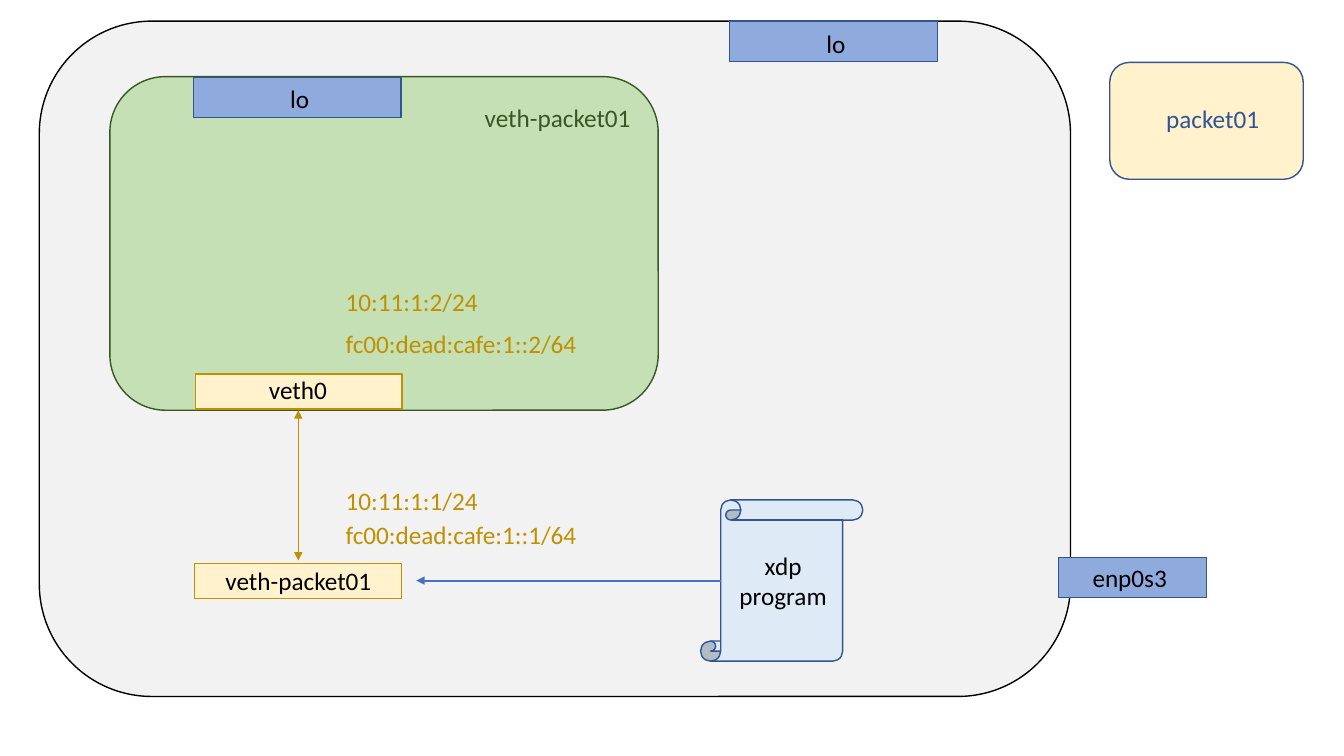
from lxml import etree
from pptx import Presentation
from pptx import util as u
from pptx.dml.color import RGBColor
from pptx.enum import shapes, text
from pptx.oxml.ns import qn

COLORS = {
    "black": "000000",
    "host": "F2F2F2",
    "namespace": "C5E0B4",
    "dark green": "385723",
    "cream": "FFF2CC",
    "gold": "BF9000",
    "device": "8FAADC",
    "navy": "325491",
    "legend": "2F5597",
    "scroll": "DEEBF7",
    "blue": "4472C4",
}

presentation = Presentation()
presentation.slide_width = u.Pt(960)
presentation.slide_height = u.Pt(540)
slide = presentation.slides.add_slide(presentation.slide_layouts[6])

ROUND = shapes.MSO_SHAPE.ROUNDED_RECTANGLE
RECTANGLE = shapes.MSO_SHAPE.RECTANGLE
SCROLL = shapes.MSO_SHAPE.VERTICAL_SCROLL

boxes = [
    (ROUND, 28.1, 15.1, 736.6, 482.4, "host", "black"),
    (ROUND, 78.5, 54.7, 391.7, 238.3, "namespace", "dark green"),
    (RECTANGLE, 139.7, 267.1, 147.6, 25.2, "cream", "gold"),
    (RECTANGLE, 139, 402.5, 147.6, 25.2, "cream", "gold"),
    (RECTANGLE, 756, 398.2, 105.8, 28.8, "device", "navy"),
    (RECTANGLE, 521.3, 15.1, 148.3, 28.8, "device", "navy"),
    (RECTANGLE, 138.2, 55.4, 148.3, 28.8, "device", "navy"),
    (ROUND, 792.7, 44.6, 138.2, 83.5, "cream", "navy"),
    (SCROLL, 500.4, 357.1, 115.9, 115.2, "scroll", "navy"),
]
for kind, left, top, width, height, fill, line in boxes:
    shape = slide.shapes.add_shape(kind, u.Pt(left), u.Pt(top), u.Pt(width), u.Pt(height))
    shape.shadow.inherit = False
    shape.fill.solid()
    shape.fill.fore_color.rgb = RGBColor.from_string(COLORS[fill])
    shape.line.color.rgb = RGBColor.from_string(COLORS[line])
    shape.line.width = u.Pt(1)

LEFT = text.PP_ALIGN.LEFT
CENTER = text.PP_ALIGN.CENTER

labels = [
    ("veth-packet01", 339.1, 69.8, 138.2, 28.8, LEFT, "dark green"),
    ("veth0", 139, 263.5, 147.6, 28.8, CENTER, "black"),
    ("veth-packet01", 128.9, 400.3, 168.5, 28.8, CENTER, "black"),
    ("lo", 583.2, 16.6, 71.3, 28.8, LEFT, "black"),
    ("lo", 200.2, 56.2, 71.3, 28.8, LEFT, "black"),
    ("enp0s3", 773.3, 398.2, 71.3, 28.8, LEFT, "black"),
    ("packet01", 808.6, 70.6, 115.2, 28.8, CENTER, "legend"),
    ("10:11:1:2/24", 239.8, 200.9, 217.4, 28.8, LEFT, "gold"),
    ("fc00:dead:cafe:1::2/64", 239.8, 231.1, 217.4, 28.8, LEFT, "gold"),
    ("10:11:1:1/24", 239.8, 343.4, 217.4, 28.8, LEFT, "gold"),
    ("fc00:dead:cafe:1::1/64", 239.8, 367.2, 217.4, 28.8, LEFT, "gold"),
    ("xdp\nprogram", 516.2, 389.5, 86.4, 51.1, CENTER, "black"),
]
for wording, left, top, width, height, alignment, color in labels:
    label = slide.shapes.add_textbox(u.Pt(left), u.Pt(top), u.Pt(width), u.Pt(height))
    label.text_frame.word_wrap = True
    label.text_frame.auto_size = text.MSO_AUTO_SIZE.SHAPE_TO_FIT_TEXT
    label.text_frame.text = wording
    for paragraph in label.text_frame.paragraphs:
        paragraph.alignment = alignment
        for run in paragraph.runs:
            run.font.name = "Calibri"
            run.font.size = u.Pt(18)
            run.font.color.rgb = RGBColor.from_string(COLORS[color])

arrows = [
    (213.1, 293, 213.1, 400.3, "gold", 0.5, ("headEnd", "tailEnd")),
    (514.8, 414.7, 297.4, 414.7, "blue", 1.5, ("tailEnd",)),
]
for start_x, start_y, end_x, end_y, color, width, ends in arrows:
    arrow = slide.shapes.add_connector(
        shapes.MSO_CONNECTOR.STRAIGHT, u.Pt(start_x), u.Pt(start_y), u.Pt(end_x), u.Pt(end_y)
    )
    arrow.line.color.rgb = RGBColor.from_string(COLORS[color])
    arrow.line.width = u.Pt(width)
    for end in ends:
        etree.SubElement(arrow.line._get_or_add_ln(), qn(f"a:{end}"), type="triangle")
    etree.SubElement(arrow._element.spPr, qn("a:effectLst"))

presentation.save("out.pptx")
